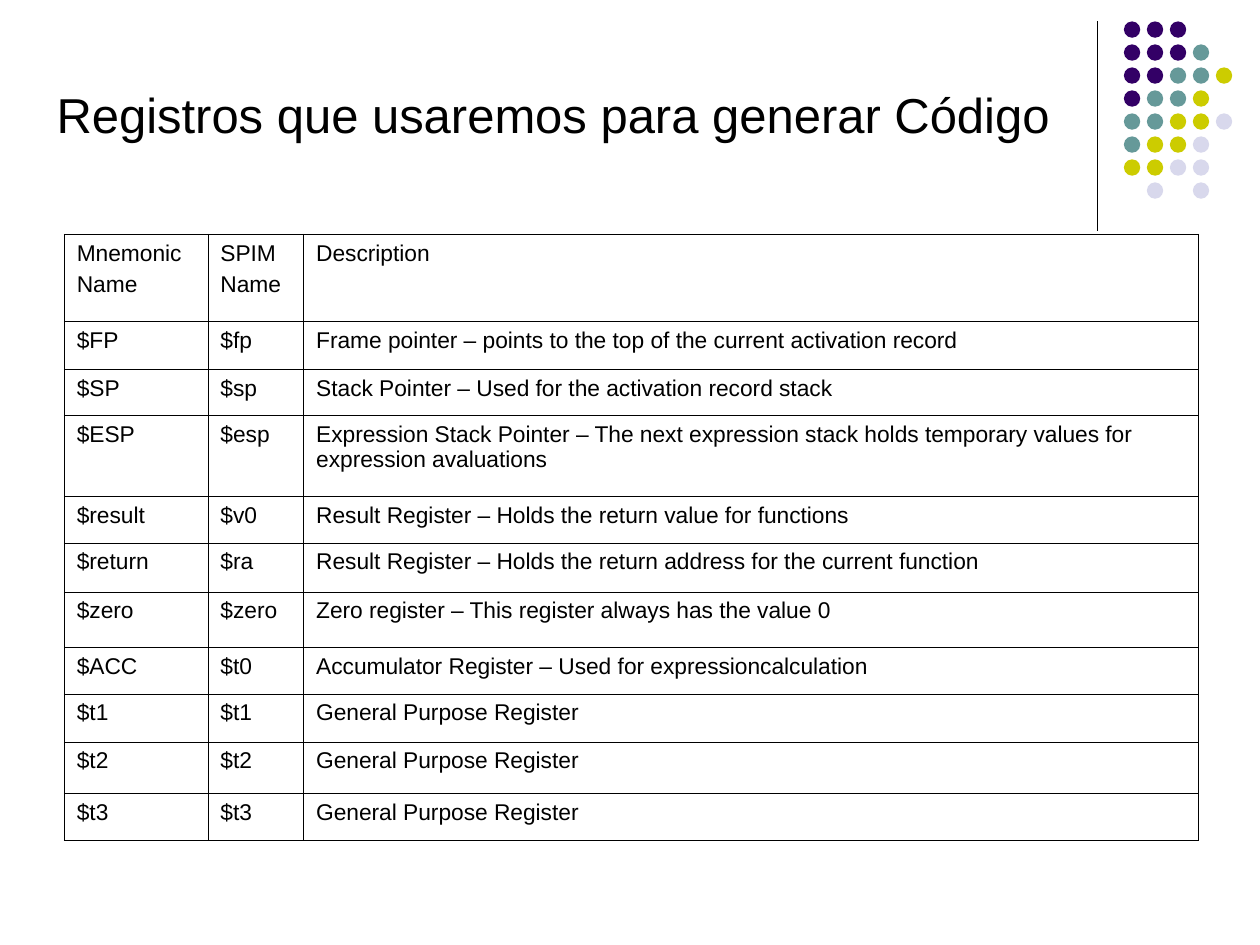
"""Build the slide listing the registers used for code generation."""
from lxml.etree import SubElement
from pptx import Presentation
from pptx.dml.color import RGBColor
from pptx.enum.shapes import MSO_CONNECTOR, MSO_SHAPE
from pptx.enum.text import MSO_ANCHOR
from pptx.oxml import parse_xml
from pptx.oxml.ns import nsdecls, qn
from pptx.util import Inches, Pt

BLACK = RGBColor(0x00, 0x00, 0x00)
PURPLE = RGBColor(0x33, 0x00, 0x66)
TEAL = RGBColor(0x66, 0x99, 0x99)
OLIVE = RGBColor(0xCC, 0xCC, 0x00)
LAVENDER = RGBColor(0xD8, 0xD8, 0xEC)
FONT = "Arial"
DOT_COLORS = {"P": PURPLE, "T": TEAL, "O": OLIVE, "L": LAVENDER}
DOT_ROWS = ["PPP", "PPPT", "PPTTO", "PTTO", "TTOOL", "TOOL", "OOLL", " L L"]
DOT_SIZE = 0.13
DOT_STEP = 0.73 / 4
COLUMN_WIDTHS = [1.14, 0.76, 7.1]
ROW_HEIGHTS = [0.69, 0.38, 0.37, 0.64, 0.37, 0.39, 0.44, 0.37, 0.38, 0.41, 0.37]
REGISTERS = [
    ("Mnemonic\nName", "SPIM\nName", "Description"),
    ("$FP", "$fp", "Frame pointer – points to the top of the current activation record"),
    ("$SP", "$sp", "Stack Pointer – Used for the activation record stack"),
    ("$ESP", "$esp", "Expression Stack Pointer – The next expression stack holds "
     "temporary values for expression avaluations"),
    ("$result", "$v0", "Result Register – Holds the return value for functions"),
    ("$return", "$ra", "Result Register – Holds the return address for the current function"),
    ("$zero", "$zero", "Zero register – This register always has the value 0"),
    ("$ACC", "$t0", "Accumulator Register – Used for expressioncalculation"),
    ("$t1", "$t1", "General Purpose Register"),
    ("$t2", "$t2", "General Purpose Register"),
    ("$t3", "$t3", "General Purpose Register"),
]


def style_text(text_frame, size):
    for index, para in enumerate(text_frame.paragraphs):
        if index:
            para.space_before = Pt(3.3)
        for span in para.runs:
            span.font.name = FONT
            span.font.size = Pt(size)
            span.font.color.rgb = BLACK


def add_borders(cell):
    properties = cell._tc.get_or_add_tcPr()
    for side in ("lnL", "lnR", "lnT", "lnB"):
        properties.append(parse_xml(
            f'<a:{side} {nsdecls("a")} w="{Pt(0.45)}"><a:solidFill>'
            f'<a:srgbClr val="{BLACK}"/></a:solidFill></a:{side}>'))


deck = Presentation()
deck.slide_width = Inches(10)
deck.slide_height = Inches(7.5)
page = deck.slides.add_slide(deck.slide_layouts[6])

divider = page.shapes.add_connector(
    MSO_CONNECTOR.STRAIGHT, Inches(8.71), Inches(0.17), Inches(8.71), Inches(1.83))
divider.line.color.rgb = BLACK
divider.line.width = Pt(0.75)
SubElement(divider._element.spPr, qn("a:effectLst"))

dots = page.shapes.add_group_shape()
for row, pattern in enumerate(DOT_ROWS):
    for column, letter in enumerate(pattern):
        if letter in DOT_COLORS:
            dot = dots.shapes.add_shape(
                MSO_SHAPE.OVAL,
                Inches(8.92 + column * DOT_STEP), Inches(0.17 + row * DOT_STEP),
                Inches(DOT_SIZE), Inches(DOT_SIZE))
            dot.shadow.inherit = False
            dot.fill.solid()
            dot.fill.fore_color.rgb = DOT_COLORS[letter]
            dot.line.fill.background()

title = page.shapes.add_textbox(Inches(0.35), Inches(0.6), Inches(8.25), Inches(1.02))
title.text_frame.word_wrap = True
title.text_frame.vertical_anchor = MSO_ANCHOR.TOP
title.text_frame.margin_top = Inches(0.07)
title.text_frame.text = "Registros que usaremos para generar Código"
style_text(title.text_frame, 28)

table = page.shapes.add_table(
    len(REGISTERS), len(COLUMN_WIDTHS), Inches(0.51), Inches(1.86),
    Inches(sum(COLUMN_WIDTHS)), Inches(sum(ROW_HEIGHTS))).table
table.first_row = False
table.horz_banding = False
for column, width in zip(table.columns, COLUMN_WIDTHS):
    column.width = Inches(width)
for row, height, entries in zip(table.rows, ROW_HEIGHTS, REGISTERS):
    row.height = Inches(height)
    for cell, entry in zip(row.cells, entries):
        cell.text_frame.text = entry
        style_text(cell.text_frame, 13)
        add_borders(cell)
        cell.fill.background()

deck.save("out.pptx")
